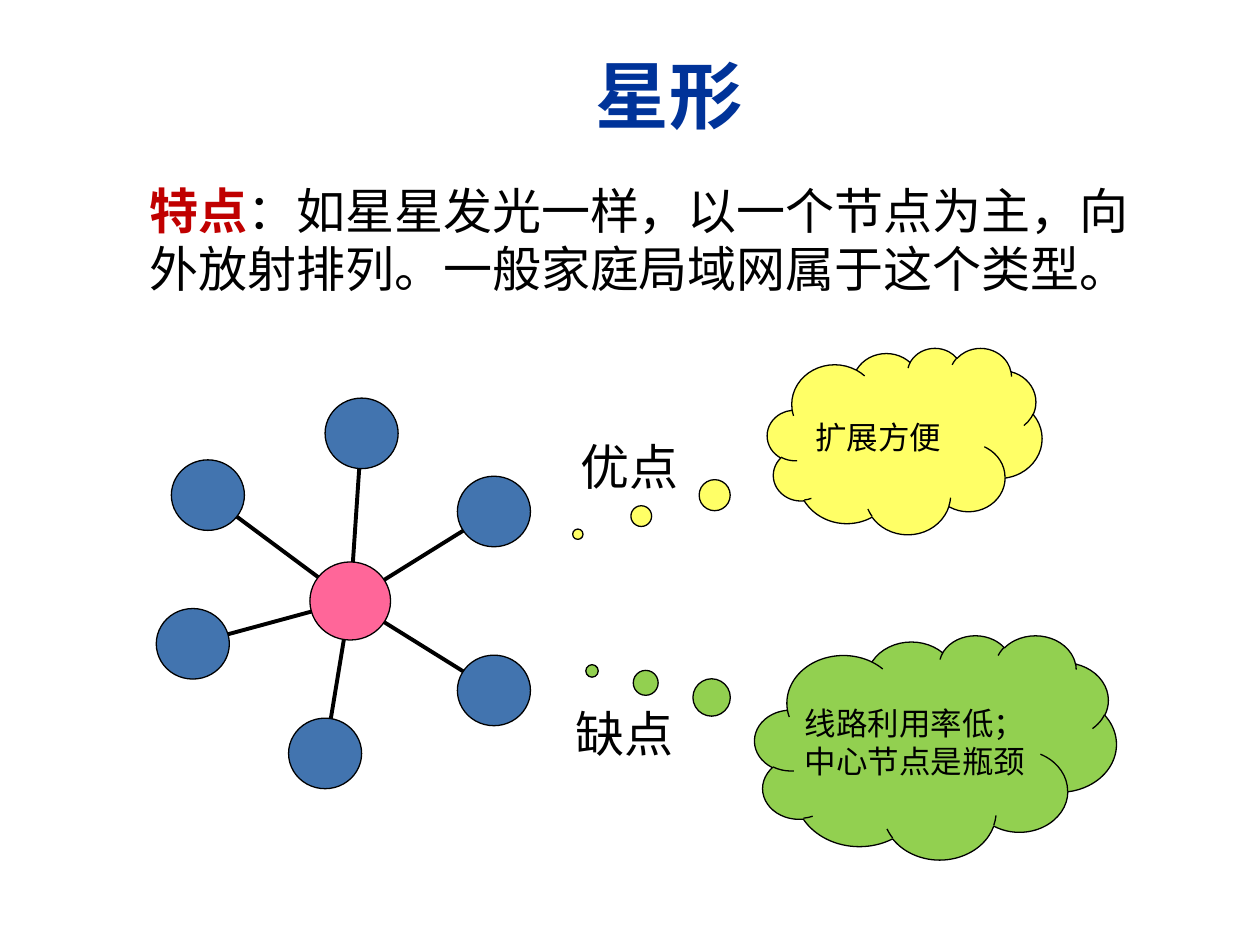
from math import hypot

from lxml.etree import SubElement
from pptx import Presentation
from pptx.dml.color import RGBColor
from pptx.enum.shapes import MSO_CONNECTOR as Connector, MSO_SHAPE as Shape
from pptx.enum.text import MSO_ANCHOR as Anchor, PP_ALIGN as Align
from pptx.oxml.ns import qn
from pptx.util import Inches, Pt

BLACK, WHITE, RED = "000000", "FFFFFF", "C00000"
NAVY, BLUE, PINK = "003399", "4274AF", "FF6699"
YELLOW, GREEN = "FFFF66", "92D050"
CJK = "Noto Sans CJK SC"
HUB = (2.78, 4.77)
HUB_SIZE, NODE_SIZE = (0.64, 0.62), (0.58, 0.56)
NODES = [(1.65, 3.93), (2.87, 3.44), (3.92, 4.06),
         (1.53, 5.11), (2.58, 5.98), (3.92, 5.48)]


def color(value):
    return RGBColor.from_string(value)


class StarSlide:
    """Holds the slide and draws its elements in one shared style."""

    def __init__(self, presentation):
        self.slide = presentation.slides.add_slide(presentation.slide_layouts[6])

    def fill_text(self, frame, runs, size, font, align=Align.LEFT, bold=None):
        frame.word_wrap = True
        paragraph = frame.paragraphs[0]
        paragraph.alignment = align
        paragraph.font.size = Pt(size)
        paragraph.font.name = font
        paragraph.font.bold = bold
        for text, fill, strong in runs:
            run = paragraph.add_run()
            run.text = text
            run.font.color.rgb = color(fill)
            if strong:
                run.font.bold = True
        return paragraph

    def text(self, box, runs, size, font, **style):
        frame = self.slide.shapes.add_textbox(*map(Inches, box)).text_frame
        return frame, self.fill_text(frame, runs, size, font, **style)

    def shape(self, kind, box, fill=None, line=BLACK):
        shape = self.slide.shapes.add_shape(kind, *map(Inches, box))
        shape.shadow.inherit = False
        if fill:
            shape.fill.solid()
            shape.fill.fore_color.rgb = color(fill)
        else:
            shape.fill.background()
        shape.line.color.rgb = color(line)
        shape.line.width = Pt(0.75)
        return shape

    def circle(self, center, size, fill):
        left, top = (middle - length / 2 for middle, length in zip(center, size))
        self.shape(Shape.OVAL, (left, top, *size), fill)

    def spoke(self, node):
        dx, dy = node[0] - HUB[0], node[1] - HUB[1]
        distance = hypot(dx, dy)
        start = NODE_SIZE[1] / 2 / distance
        end = HUB_SIZE[1] / 2 / distance
        points = (node[0] - dx * start, node[1] - dy * start,
                  HUB[0] + dx * end, HUB[1] + dy * end)
        connector = self.slide.shapes.add_connector(
            Connector.STRAIGHT, *map(Inches, points))
        connector.line.color.rgb = color(BLACK)
        connector.line.width = Pt(2.25)
        SubElement(connector._element.spPr, qn("a:effectLst"))

    def label(self, box, text):
        frame = self.shape(Shape.RECTANGLE, box, line=WHITE).text_frame
        frame.vertical_anchor = Anchor.MIDDLE
        self.fill_text(frame, [(text, BLACK, False)], 28, CJK)

    def cloud(self, box, fill, tail, text, inset=0):
        shape = self.shape(Shape.CLOUD_CALLOUT, box, fill)
        shape.adjustments[0], shape.adjustments[1] = tail
        frame = shape.text_frame
        frame.vertical_anchor = Anchor.MIDDLE
        frame.margin_left = Inches(inset)
        frame.margin_top = frame.margin_right = frame.margin_bottom = 0
        self.fill_text(frame, [(text, BLACK, False)], 18, CJK)


def main():
    presentation = Presentation()
    presentation.slide_width, presentation.slide_height = Inches(10), Inches(7.5)
    star = StarSlide(presentation)

    title, _ = star.text((0.93, 0.25, 8.76, 1), [("星形", NAVY, False)], 42,
                         "Calibri", align=Align.CENTER, bold=True)
    title.vertical_anchor = Anchor.MIDDLE

    for node in NODES:
        star.spoke(node)
    star.circle(HUB, HUB_SIZE, PINK)
    for node in NODES:
        star.circle(node, NODE_SIZE, BLUE)

    _, feature = star.text(
        (0.71, 1.39, 8.51, 1.19),
        [("特点", RED, True),
         ("：如星星发光一样，以一个节点为主，向外放射排列。一般家庭局域网属于这个类型。",
          BLACK, False)], 28, "Arial")
    feature.line_spacing = Pt(33)
    feature._p.get_or_add_pPr().set("marL", str(Inches(0.38)))

    star.label((4.51, 3.4, 0.99, 0.59), "优点")
    star.cloud((6.09, 2.76, 2.18, 1.48), YELLOW, (-1.19, 0.5), "扩展方便", 0.08)
    star.cloud((5.99, 5.04, 2.87, 1.78), GREEN, (-0.95, -0.34),
               "线路利用率低；中心节点是瓶颈")
    star.label((4.47, 5.6, 0.99, 0.44), "缺点")
    presentation.save("out.pptx")


if __name__ == "__main__":
    main()
